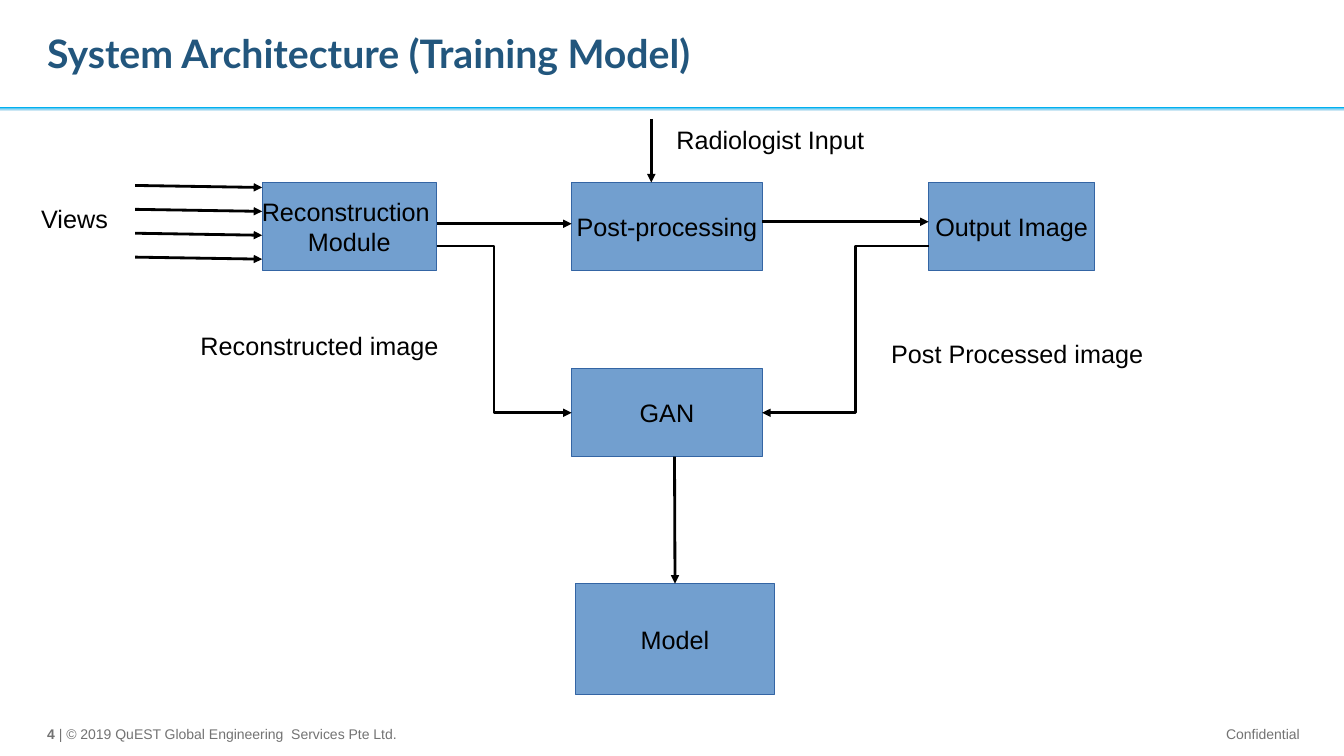
"""Builds the System Architecture (Training Model) slide."""
from lxml import etree
from pptx import Presentation
from pptx import util as u
from pptx.dml.color import RGBColor
from pptx.enum import shapes, text
from pptx.oxml.ns import qn

INK, GREY = "000000", "737373"
LEFT, CENTRE, RIGHT = text.PP_ALIGN.LEFT, text.PP_ALIGN.CENTER, text.PP_ALIGN.RIGHT
TOP, MIDDLE = text.MSO_ANCHOR.TOP, text.MSO_ANCHOR.MIDDLE


def rgb(hex_code):
    return RGBColor.from_string(hex_code)


def write(frame, lines, size=18, face="Arial", colour=INK, align=LEFT, anchor=TOP, wrap=True):
    frame.word_wrap = wrap
    frame.vertical_anchor = anchor
    for row, runs in enumerate(lines):
        paragraph = frame.paragraphs[0] if row == 0 else frame.add_paragraph()
        paragraph.alignment = align
        for words, bold in runs:
            run = paragraph.add_run()
            run.text = words
            run.font.size = u.Pt(size)
            run.font.name = face
            run.font.bold = bold
            run.font.color.rgb = rgb(colour)


deck = Presentation()
deck.slide_width, deck.slide_height = u.Inches(13.33), u.Inches(7.5)
slide = deck.slides.add_slide(deck.slide_layouts[6])
parts = slide.shapes

rule = parts.add_shape(shapes.MSO_SHAPE.RECTANGLE, 0, u.Inches(1.06), deck.slide_width, u.Inches(0.04))
rule.shadow.inherit = False
rule.line.fill.background()
rule.fill.gradient()
rule.fill.gradient_angle = 90
for stop, shade in zip(rule.fill.gradient_stops, ("DCEBF4", "00B0F0")):
    stop.color.rgb = rgb(shade)

captions = [
    ((0.37, 7.15, 3.8, 0.43), [("4", True), (" | © 2019 QuEST Global Engineering  Services Pte Ltd.", False)],
     dict(size=10, colour=GREY)),
    ((9.65, 7.15, 3.34, 0.27), [("Confidential", False)], dict(size=10, colour=GREY, align=RIGHT)),
    ((0.37, 0.13, 11.5, 0.79), [("System Architecture (Training Model)", True)],
     dict(size=28, face="Lato", colour="22567D", anchor=MIDDLE)),
    ((0.31, 1.97, 0.87, 0.47), [("Views", False)], {}),
    ((6.61, 1.18, 2.52, 0.38), [("Radiologist Input", False)], {}),
    ((8.74, 3.31, 2.83, 0.39), [("Post Processed image", False)], {}),
    ((1.89, 3.23, 2.83, 0.39), [("Reconstructed image", False)], {}),
]
for place, runs, style in captions:
    caption = parts.add_textbox(*map(u.Inches, place))
    write(caption.text_frame, [runs], **style)

input_col, middle_col, output_col = (2.6, 1.73), (5.67, 1.89), (9.21, 1.65)
module_row, gan_row, model_row = (1.81, 0.87), (3.66, 0.87), (5.79, 1.1)
modules = {}
for (left, width), (top, height), lines in [
    (input_col, module_row, ["Reconstruction ", "Module"]),
    (middle_col, module_row, ["Post-processing"]),
    (output_col, module_row, ["Output Image"]),
    (middle_col, gan_row, ["GAN"]),
    ((5.71, 1.97), model_row, ["Model"]),
]:
    module = parts.add_shape(shapes.MSO_SHAPE.RECTANGLE, *map(u.Inches, (left, top, width, height)))
    module.shadow.inherit = False
    module.fill.solid()
    module.fill.fore_color.rgb = rgb("729FCF")
    module.line.color.rgb = rgb("3465A4")
    module.line.width = 0
    write(module.text_frame, [[(line, False)] for line in lines], align=CENTRE, anchor=MIDDLE, wrap=False)
    modules[lines[0]] = module

input_right, middle_right = sum(input_col), sum(middle_col)
branch_y, gan_y = 2.44, gan_row[0] + gan_row[1] / 2
view_arrows = [(1.34, 1.84 + 0.237 * view, input_col[0], 1.86 + 0.237 * view, None, None) for view in range(4)]
flows = view_arrows + [
    (6.46, 1.18, 6.46, module_row[0], None, None),
    (input_right, 2.22, middle_col[0], 2.22, None, None),
    (middle_right, 2.2, output_col[0], 2.2, None, None),
    (6.69, sum(gan_row), 6.69, model_row[0], None, "Model"),
    (input_right, branch_y, middle_col[0], gan_y, 42600, None),
    (output_col[0], branch_y, middle_right, gan_y, 44000, None),
]
for x1, y1, x2, y2, bend, target in flows:
    kind = shapes.MSO_CONNECTOR.ELBOW if bend else shapes.MSO_CONNECTOR.STRAIGHT
    flow = parts.add_connector(kind, *map(u.Inches, (x1, y1, x2, y2)))
    flow.line.color.rgb = rgb(INK)
    flow.line.width = 0
    if target:
        flow.end_connect(modules[target], 0)
    properties = flow._element.spPr
    etree.SubElement(properties.find(qn("a:ln")), qn("a:tailEnd"), type="triangle")
    etree.SubElement(properties, qn("a:effectLst"))
    if bend:
        guides = properties.find(qn("a:prstGeom")).get_or_add_avLst()
        etree.SubElement(guides, qn("a:gd"), name="adj1", fmla=f"val {bend}")

deck.save("out.pptx")
